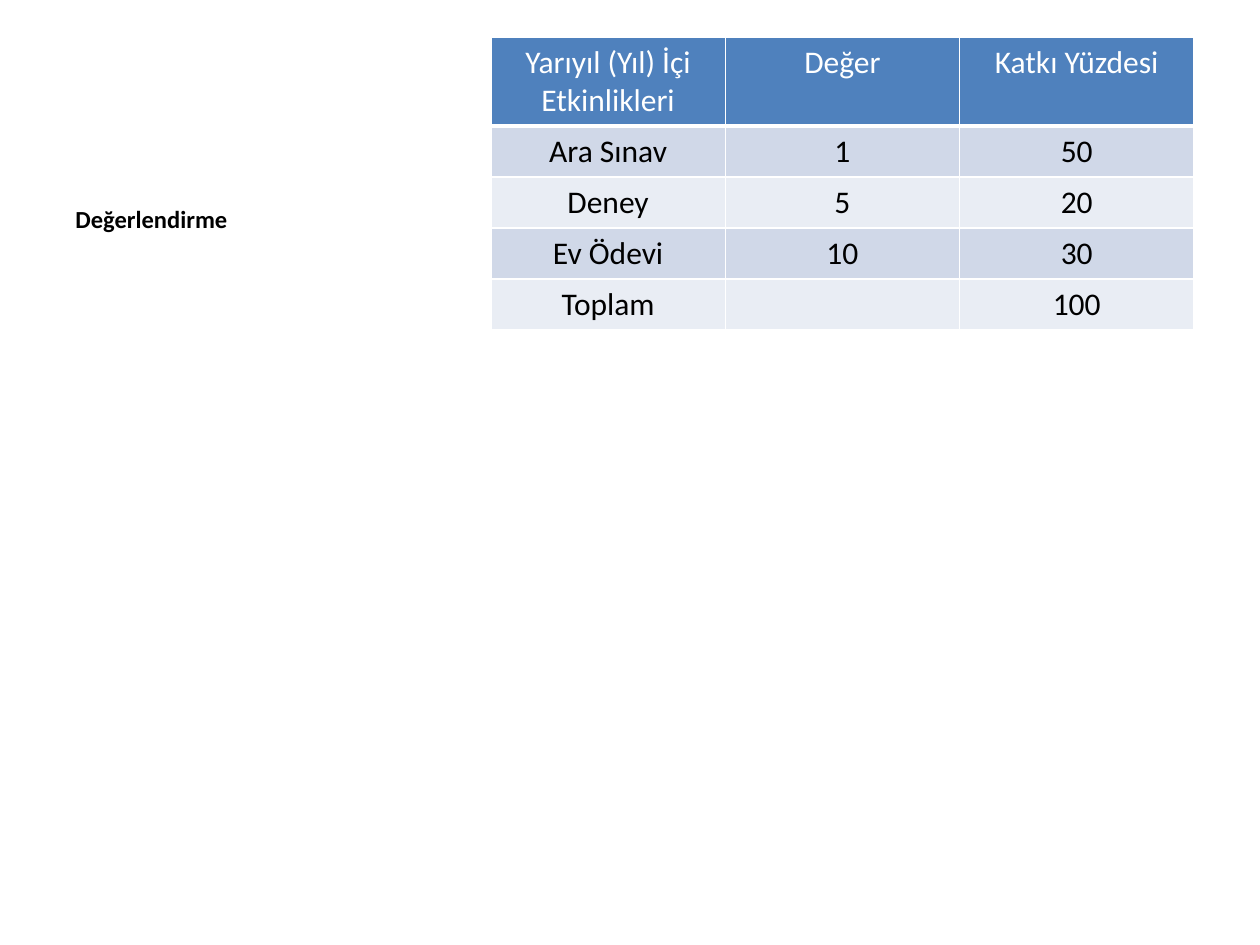
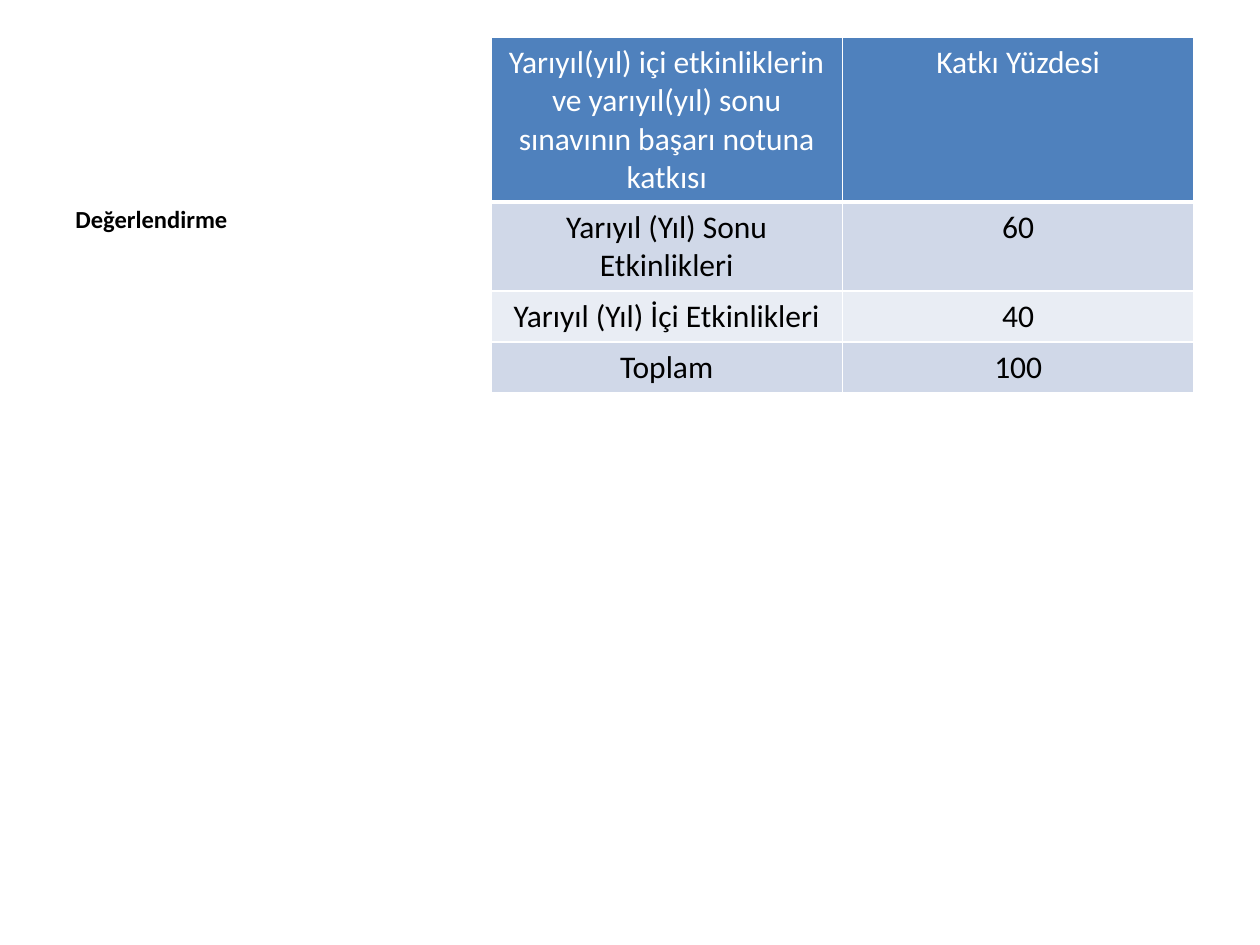
"""Build two course assessment slides, each with a heading and a weighting table."""
from lxml import etree
from pptx import Presentation
from pptx.dml.color import RGBColor
from pptx.enum.text import PP_ALIGN
from pptx.oxml.ns import qn
from pptx.util import Pt

CENTER = PP_ALIGN.CENTER
LEFT = PP_ALIGN.LEFT
PIXEL = 914400 // 126
COLORS = {
    "header": "4F81BD",
    "odd_row": "D0D8E8",
    "even_row": "E9EDF4",
    "light": "FFFFFF",
    "dark": "000000",
}
HEADING_FONT = {"name": "Calibri", "size": Pt(14), "bold": True}
TABLE_FONT = {"name": "Calibri", "size": Pt(18), "bold": False}
BORDER_SIDES = ("L", "R", "T", "B")
LINE_HEIGHT = 38
CELL_PADDING = 13


class AssessmentDeck:
    """Holds the shared style and the current slide."""

    def __init__(self):
        """Open an empty deck of the right size."""
        self.deck = Presentation()
        self.deck.slide_width = 1260 * PIXEL
        self.deck.slide_height = 945 * PIXEL
        self.slide = None

    def add_slide(self):
        """Start a blank slide."""
        self.slide = self.deck.slides.add_slide(self.deck.slide_layouts[6])

    def add_words(self, frame, words, style, color, alignment):
        """Put one styled paragraph into a text frame."""
        paragraph = frame.paragraphs[0]
        paragraph.alignment = alignment
        run = paragraph.add_run()
        run.text = words
        for attribute, value in style.items():
            setattr(run.font, attribute, value)
        run.font.color.rgb = RGBColor.from_string(COLORS[color])

    def heading(self, words):
        """Add the heading at the left of the slide."""
        area = [length * PIXEL for length in (63, 198, 415, 646)]
        frame = self.slide.shapes.add_textbox(*area).text_frame
        frame.word_wrap = True
        self.add_words(frame, words, HEADING_FONT, "dark", LEFT)

    def borders(self, cell, bottom):
        """Draw white cell borders with the given bottom width."""
        properties = cell._tc.get_or_add_tcPr()
        for side in BORDER_SIDES:
            width = Pt(bottom if side == "B" else 1)
            line = etree.SubElement(properties, qn("a:ln" + side), w=str(width))
            fill = etree.SubElement(line, qn("a:solidFill"))
            etree.SubElement(fill, qn("a:srgbClr"), val=COLORS["light"])

    def table(self, rows, line_counts):
        """Add a banded table whose row heights follow their line counts."""
        heights = [CELL_PADDING + LINE_HEIGHT * count for count in line_counts]
        area = [length * PIXEL for length in (491, 37, 703, sum(heights))]
        grid = self.slide.shapes.add_table(len(rows), len(rows[0]), *area).table
        for row_index, (row, height) in enumerate(zip(rows, heights)):
            grid.rows[row_index].height = height * PIXEL
            is_header = row_index == 0
            band = "header" if is_header else "odd_row" if row_index % 2 else "even_row"
            for column_index, words in enumerate(row):
                cell = grid.cell(row_index, column_index)
                self.borders(cell, 3 if is_header else 1)
                cell.fill.solid()
                cell.fill.fore_color.rgb = RGBColor.from_string(COLORS[band])
                if words:
                    color = "light" if is_header else "dark"
                    self.add_words(cell.text_frame, words, TABLE_FONT, color, CENTER)


TERM_ACTIVITIES = [
    ("Yarıyıl (Yıl) İçi Etkinlikleri", "Değer", "Katkı Yüzdesi"),
    ("Ara Sınav", "1", "50"),
    ("Deney", "5", "20"),
    ("Ev Ödevi", "10", "30"),
    ("Toplam", "", "100"),
]
GRADE_SHARES = [
    ("Yarıyıl(yıl) içi etkinliklerin ve yarıyıl(yıl) sonu sınavının "
     "başarı notuna katkısı", "Katkı Yüzdesi"),
    ("Yarıyıl (Yıl) Sonu Etkinlikleri", "60"),
    ("Yarıyıl (Yıl) İçi Etkinlikleri", "40"),
    ("Toplam", "100"),
]

assessment = AssessmentDeck()
for weights, line_counts in (
    (TERM_ACTIVITIES, (2, 1, 1, 1, 1)),
    (GRADE_SHARES, (4, 2, 1, 1)),
):
    assessment.add_slide()
    assessment.heading("Değerlendirme")
    assessment.table(weights, line_counts)
assessment.deck.save("out.pptx")
